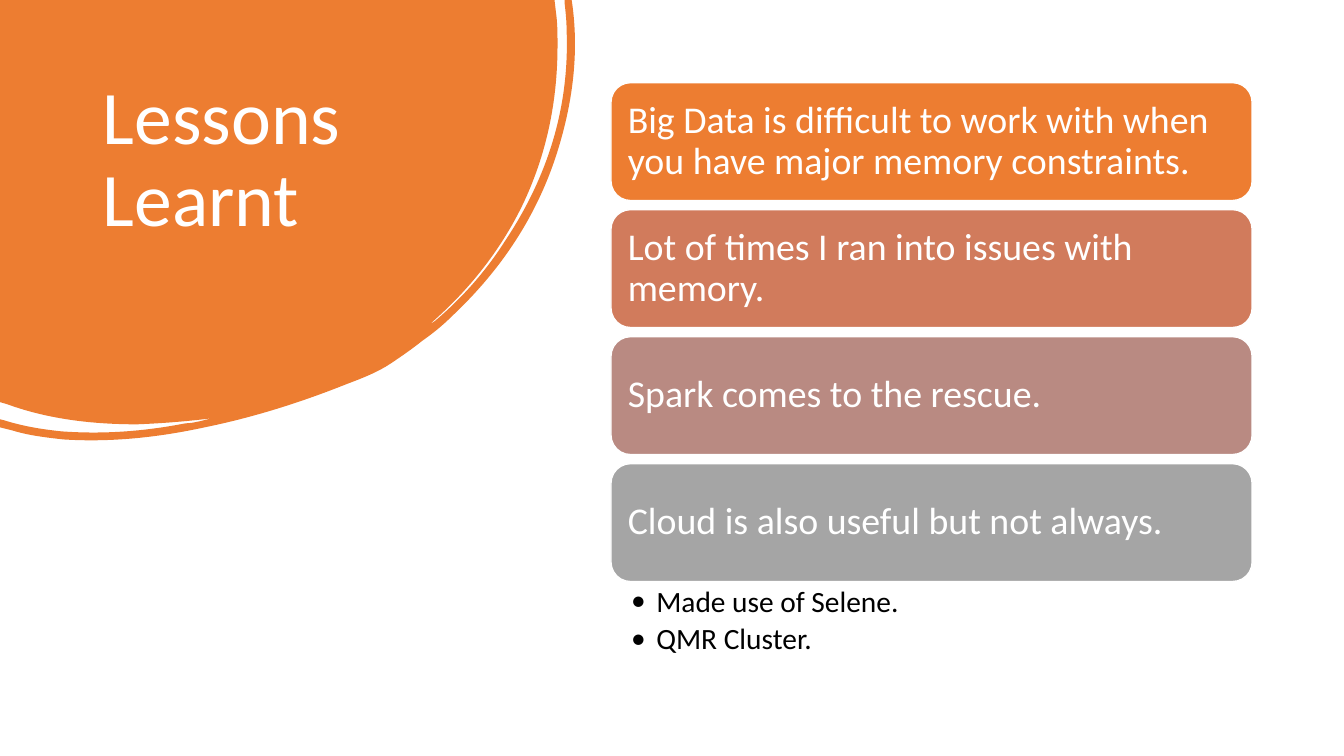
from dataclasses import dataclass

from lxml import etree
from pptx import Presentation
from pptx.dml.color import RGBColor
from pptx.enum.shapes import MSO_SHAPE
from pptx.enum.text import MSO_ANCHOR, PP_ALIGN
from pptx.oxml.ns import qn
from pptx.util import Inches, Pt

ROUND = MSO_SHAPE.ROUNDED_RECTANGLE
TOP, MIDDLE = MSO_ANCHOR.TOP, MSO_ANCHOR.MIDDLE
LEFT = PP_ALIGN.LEFT
FONT = "Calibri"
COLORS = {
    "orange": "ED7D31",
    "clay": "D17B5C",
    "rose": "B98A82",
    "gray": "A5A5A5",
    "white": "FFFFFF",
    "black": "000000",
}
UNITS = 1000  # freeform units per inch
BLOB_W, BLOB_H = 5.71, 4.37

# Blob outline: two numbers end a line, six give a Bezier curve
BLOB = [
    (0, 0), (5.5, 0), (5.52, 0.17),
    (5.53, 0.26, 5.53, 0.36, 5.53, 0.45),
    (5.53, 1.01, 5.42, 1.54, 5.18, 2.04),
    (4.96, 2.49, 4.65, 2.88, 4.27, 3.21),
    (4.29, 3.21, 4.3, 3.19, 4.32, 3.18),
    (4.59, 2.95, 4.82, 2.69, 5.01, 2.39),
    (5.43, 1.76, 5.65, 1.07, 5.62, 0.3),
    (5.62, 0.21, 5.61, 0.12, 5.6, 0.03),
    (5.6, 0), (5.67, 0), (5.68, 0.07),
    (5.74, 0.54, 5.68, 1.02, 5.53, 1.5),
    (5.33, 2.14, 4.97, 2.68, 4.48, 3.14),
    (4.39, 3.23, 4.29, 3.31, 4.19, 3.38),
    (4.09, 3.46, 3.99, 3.53, 3.87, 3.61),
    (3.75, 3.69, 3.6, 3.75, 3.44, 3.81),
    (2.99, 3.99, 2.52, 4.14, 2.03, 4.24),
    (1.57, 4.34, 1.1, 4.39, 0.63, 4.36),
    (0.45, 4.34, 0.28, 4.32, 0.12, 4.27),
    (0, 4.24), (0, 4.16), (0.04, 4.17),
    (0.23, 4.23, 0.42, 4.26, 0.61, 4.28),
    (1.03, 4.31, 1.43, 4.28, 1.84, 4.2),
    (1.89, 4.2, 1.93, 4.19, 1.98, 4.18),
    (2.02, 4.17, 2.06, 4.16, 2.1, 4.15),
    (1.86, 4.18, 1.61, 4.2, 1.36, 4.21),
    (0.92, 4.21, 0.48, 4.16, 0.07, 4.01),
    (0, 3.99),
]


@dataclass
class Card:
    text: str
    color: str


CARDS = [
    Card("Big Data is difficult to work with when you have major memory constraints.", "orange"),
    Card("Lot of times I ran into issues with memory.", "clay"),
    Card("Spark comes to the rescue.", "rose"),
    Card("Cloud is also useful but not always.", "gray"),
]
NOTES = ["Made use of Selene.", "QMR Cluster."]
CARD_X, CARD_Y, CARD_W, CARD_H, PITCH = 6.06, 0.82, 6.36, 1.17, 1.26


def rgb(name: str) -> RGBColor:
    return RGBColor.from_string(COLORS[name])


def unit(value: float) -> int:
    return round(value * UNITS)


def write(shape, lines: list, size: float, color: str, anchor=TOP,
          pads=(0.1, 0.05, 0.1, 0.05), after: float = 0, bullet: str = "") -> None:
    """Fill a shape with formatted paragraphs."""
    frame = shape.text_frame
    frame.word_wrap = True
    frame.vertical_anchor = anchor
    (frame.margin_left, frame.margin_top,
     frame.margin_right, frame.margin_bottom) = map(Inches, pads)
    for i, line in enumerate(lines):
        para = frame.add_paragraph() if i else frame.paragraphs[0]
        para.alignment = LEFT
        para.line_spacing = 0.9
        para.space_after = Pt(after)
        run = para.add_run()
        run.text = line
        run.font.name = FONT
        run.font.size = Pt(size)
        run.font.color.rgb = rgb(color)
        if bullet:
            props = para._p.get_or_add_pPr()
            props.set("marL", str(Inches(0.25)))
            props.set("indent", str(-Inches(0.25)))
            etree.SubElement(props, qn("a:buFont")).set("typeface", FONT)
            etree.SubElement(props, qn("a:buChar")).set("char", bullet)


def add_blob(slide) -> None:
    ends = [(unit(part[-2]), unit(part[-1])) for part in BLOB]
    pen = slide.shapes.build_freeform(*ends[0], scale=Inches(1) / UNITS)
    pen.add_line_segments(ends[1:], close=True)
    blob = pen.convert_to_shape()
    blob.width, blob.height = Inches(BLOB_W), Inches(BLOB_H)

    # Bend the lines that have control points
    route = next(blob._element.iter(qn("a:path")))
    route.set("w", str(unit(BLOB_W)))
    route.set("h", str(unit(BLOB_H)))
    for line, part in zip(route.findall(qn("a:lnTo")), BLOB[1:]):
        if len(part) == 2:
            continue
        curve = etree.Element(qn("a:cubicBezTo"))
        for x, y in zip(part[::2], part[1::2]):
            point = etree.SubElement(curve, qn("a:pt"))
            point.set("x", str(unit(x)))
            point.set("y", str(unit(y)))
        route.replace(line, curve)

    blob.shadow.inherit = False
    blob.fill.solid()
    blob.fill.fore_color.rgb = rgb("orange")
    blob.line.fill.background()


def add_card(slide, card: Card, top: float) -> None:
    box = slide.shapes.add_shape(
        ROUND, Inches(CARD_X), Inches(top), Inches(CARD_W), Inches(CARD_H))
    box.shadow.inherit = False
    box.fill.solid()
    box.fill.fore_color.rgb = rgb(card.color)
    box.line.color.rgb = rgb("white")
    box.line.width = Pt(1)
    write(box, [card.text], 27, "white", anchor=MIDDLE, pads=(0.11,) * 4)


def main() -> None:
    deck = Presentation()
    deck.slide_width, deck.slide_height = Inches(13.33), Inches(7.5)
    slide = deck.slides.add_slide(deck.slide_layouts[5])

    # Blob behind the title
    add_blob(slide)
    title = slide.shapes.title
    title.left, title.top = Inches(0.92), Inches(0.74)
    title.width, title.height = Inches(3.52), Inches(2.22)
    write(title, ["Lessons Learnt"], 54, "white")
    tree = slide.shapes._spTree
    tree.remove(title._element)
    tree.append(title._element)

    # Lesson cards
    for i, card in enumerate(CARDS):
        add_card(slide, card, CARD_Y + i * PITCH)

    # Bullets under the last card
    notes = slide.shapes.add_textbox(
        Inches(CARD_X), Inches(5.78), Inches(CARD_W), Inches(0.79))
    write(notes, NOTES, 21, "black", pads=(0.2, 0.04, 0.21, 0.04), after=4, bullet="•")

    deck.save("out.pptx")


if __name__ == "__main__":
    main()
